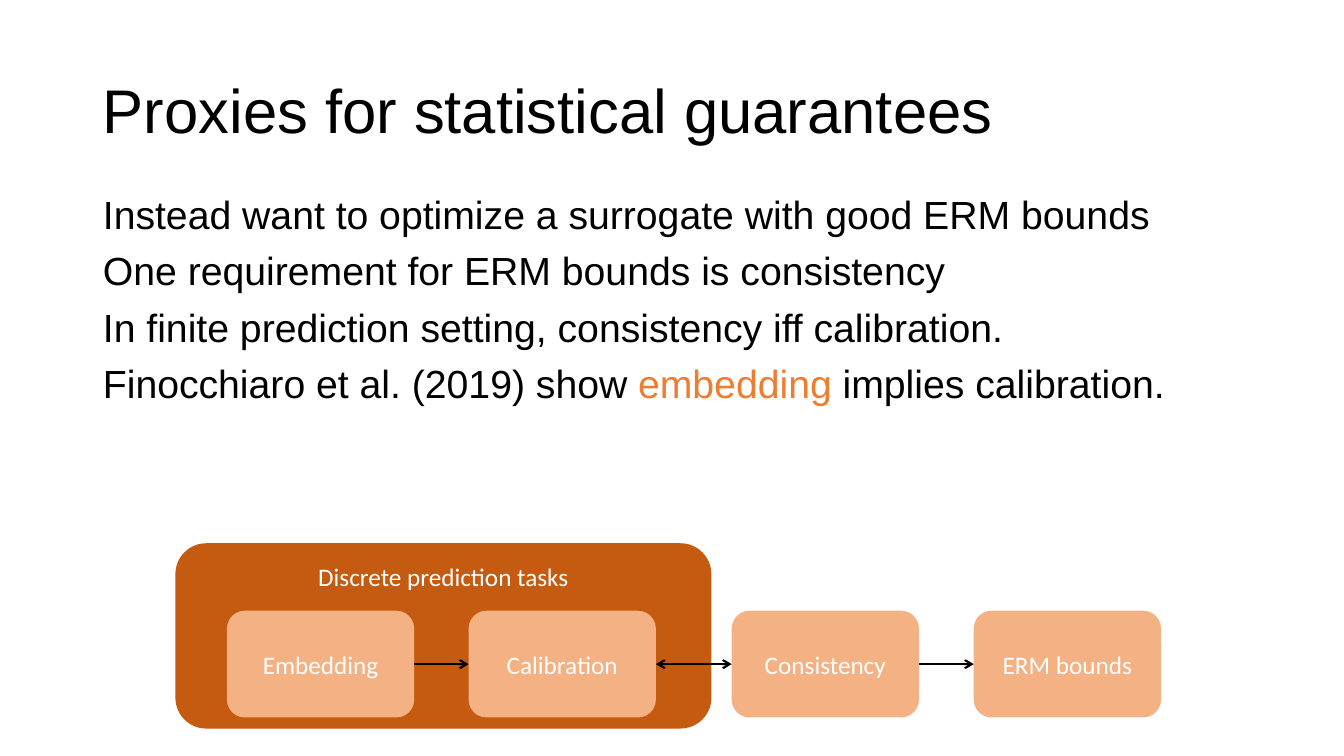
import pptx
import pptx.util
import pptx.dml.color
import pptx.enum.shapes
import pptx.enum.text
import pptx.oxml.ns
import lxml.etree

Cm, Pt = pptx.util.Cm, pptx.util.Pt
align = pptx.enum.text.PP_ALIGN
anchor = pptx.enum.text.MSO_ANCHOR
qn = pptx.oxml.ns.qn
colors = {"text": "000000", "accent": "ED7D31", "group": "C55A11",
          "box": "F4B183", "label": "FFFFFF"}


def style(font, name, size, color):
    font.name, font.size = name, Pt(size)
    font.color.rgb = pptx.dml.color.RGBColor.from_string(colors[color])


def add_box(left, top, width, height, fill, label):
    box = slide.shapes.add_shape(
        pptx.enum.shapes.MSO_SHAPE.ROUNDED_RECTANGLE,
        Cm(left), Cm(top), Cm(width), Cm(height))
    box.shadow.inherit = False
    box.fill.solid()
    box.fill.fore_color.rgb = pptx.dml.color.RGBColor.from_string(colors[fill])
    box.line.fill.background()
    box.text_frame.text = label
    box.text_frame.vertical_anchor = anchor.MIDDLE
    para = box.text_frame.paragraphs[0]
    para.alignment = align.CENTER
    style(para.font, "Calibri", 18, "label")
    return box


deck = pptx.Presentation()
deck.slide_width, deck.slide_height = Cm(33.87), Cm(19.05)
slide = deck.slides.add_slide(deck.slide_layouts[1])

# Title
title = slide.shapes.title
title.left, title.top, title.width, title.height = Cm(2.34), Cm(1.02), Cm(29.21), Cm(3.68)
title.text_frame.text = "Proxies for statistical guarantees"
title.text_frame.vertical_anchor = anchor.MIDDLE
head = title.text_frame.paragraphs[0]
head.alignment = align.LEFT
head.line_spacing = 0.9
style(head.font, "Arial", 44, "text")

# Body list
body = slide.placeholders[1]
body.left, body.top, body.width, body.height = Cm(2.34), Cm(4.8), Cm(29.21), Cm(7.19)
frame = body.text_frame
frame.auto_size = pptx.enum.text.MSO_AUTO_SIZE.NONE
frame.text = "\n".join([
    "Instead want to optimize a surrogate with good ERM bounds",
    "One requirement for ERM bounds is consistency",
    "In finite prediction setting, consistency iff calibration.",
    "Finocchiaro et al. (2019) show "])
for para in frame.paragraphs:
    para.line_spacing, para.space_before = 0.9, Pt(10)
    style(para.font, "Arial", 28, "text")
    props = para._p.get_or_add_pPr()
    props.set("marL", "0")
    props.set("indent", "0")
    bullet = lxml.etree.Element(qn("a:buNone"))
    props.find(qn("a:defRPr")).addprevious(bullet)
last = frame.paragraphs[-1]
for text, color in [("embedding", "accent"), (" implies calibration.", "text")]:
    run = last.add_run()
    run.text = text
    style(run.font, "Arial", 28, color)

# Group panel, labelled at its top
panel = add_box(4.42, 13.69, 13.51, 4.67, "group", "Discrete prediction tasks")
panel.text_frame.vertical_anchor = anchor.TOP
panel.text_frame.margin_top = Cm(0.23)

# Chain of steps
steps = [("Embedding", 5.72), ("Calibration", 11.81),
         ("Consistency", 18.44), ("ERM bounds", 24.54)]
boxes = [add_box(left, 15.39, 4.72, 2.69, "box", label) for label, left in steps]

# Arrows from right side (3) to left side (1)
ends = [["tailEnd"], ["headEnd", "tailEnd"], ["tailEnd"]]
for start, stop, tips in zip(boxes, boxes[1:], ends):
    arrow = slide.shapes.add_connector(
        pptx.enum.shapes.MSO_CONNECTOR.STRAIGHT, 0, 0, 0, 0)
    arrow.begin_connect(start, 3)
    arrow.end_connect(stop, 1)
    arrow.line.width = Pt(1.5)
    arrow.line.color.rgb = pptx.dml.color.RGBColor.from_string(colors["text"])
    for tip in tips:
        lxml.etree.SubElement(arrow.line._get_or_add_ln(), qn("a:" + tip), type="arrow")
    lxml.etree.SubElement(arrow._element.spPr, qn("a:effectLst"))

deck.save("out.pptx")
